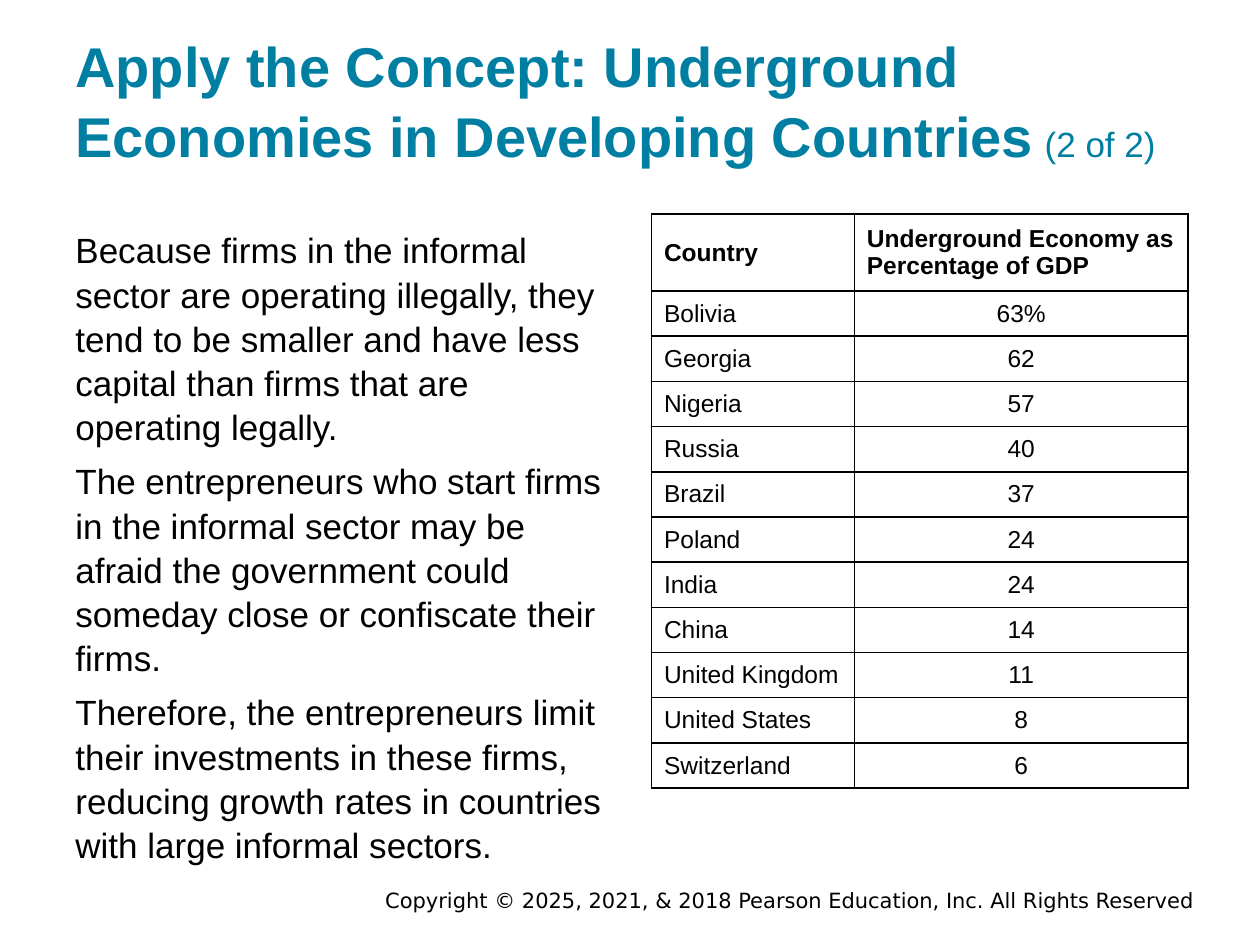
from dataclasses import dataclass

from lxml import etree
from pptx import Presentation
from pptx.dml.color import RGBColor
from pptx.enum.text import MSO_ANCHOR, PP_ALIGN
from pptx.oxml.ns import qn
from pptx.util import Pt

LEFT, CENTER, RIGHT = PP_ALIGN.LEFT, PP_ALIGN.CENTER, PP_ALIGN.RIGHT
TOP, MIDDLE, BOTTOM = MSO_ANCHOR.TOP, MSO_ANCHOR.MIDDLE, MSO_ANCHOR.BOTTOM

BLACK = RGBColor(0x00, 0x00, 0x00)
TEAL = RGBColor(0x00, 0x7F, 0xA3)

BODY_FONT = "Arial"
FOOTER_FONT = "DejaVu Sans"
LINE_SPACING = 1.05

# Table measures, in points
TABLE_LEFT, TABLE_TOP = 372.24, 122.4
COLUMN_WIDTHS = (115.92, 190.8)
HEADER_HEIGHT, ROW_HEIGHT = 43.9, 25.85
BORDER_WIDTH = 1

TITLE = "Apply the Concept: Underground Economies in Developing Countries"
TITLE_PART = " (2 of 2)"
BODY = (
    "Because firms in the informal sector are operating illegally, they tend to be "
    "smaller and have less capital than firms that are operating legally.",
    "The entrepreneurs who start firms in the informal sector may be afraid the "
    "government could someday close or confiscate their firms.",
    "Therefore, the entrepreneurs limit their investments in these firms, reducing "
    "growth rates in countries with large informal sectors.",
)
COPYRIGHT = "Copyright © 2025, 2021, & 2018 Pearson Education, Inc. All Rights Reserved"
HEADERS = ("Country", "Underground Economy as Percentage of GDP")
COUNTRIES = (
    ("Bolivia", "63%"),
    ("Georgia", "62"),
    ("Nigeria", "57"),
    ("Russia", "40"),
    ("Brazil", "37"),
    ("Poland", "24"),
    ("India", "24"),
    ("China", "14"),
    ("United Kingdom", "11"),
    ("United States", "8"),
    ("Switzerland", "6"),
)


@dataclass(frozen=True)
class TextStyle:
    size: float
    color: RGBColor = BLACK
    font: str = BODY_FONT
    bold: bool = False
    align: PP_ALIGN = LEFT


@dataclass(frozen=True)
class TextBox:
    left: float
    top: float
    width: float
    height: float
    anchor: MSO_ANCHOR
    vertical_inset: float
    line_spacing: float
    paragraphs: tuple[str, ...]
    style: TextStyle


TITLE_BOX = TextBox(36, 17.28, 648, 86.4, BOTTOM, 7.2, LINE_SPACING,
                    (TITLE,), TextStyle(32, TEAL))
BODY_BOX = TextBox(36, 122.4, 317.52, 367.92, TOP, 7.2, LINE_SPACING,
                   BODY, TextStyle(20))
FOOTER_BOX = TextBox(126, 506.16, 563.76, 15.84, MIDDLE, 3.6, 1.0,
                     (COPYRIGHT,), TextStyle(12, font=FOOTER_FONT, align=RIGHT))
HEADER_STYLE = TextStyle(14, bold=True)
CELL_STYLES = (TextStyle(14), TextStyle(14, align=CENTER))


def style_paragraph(paragraph, style: TextStyle) -> None:
    paragraph.alignment = style.align
    font = paragraph.font
    font.name = style.font
    font.size = Pt(style.size)
    font.bold = style.bold
    font.color.rgb = style.color


def add_text_box(slide, box: TextBox):
    shape = slide.shapes.add_textbox(
        Pt(box.left), Pt(box.top), Pt(box.width), Pt(box.height))
    frame = shape.text_frame
    frame.word_wrap = True
    frame.vertical_anchor = box.anchor
    frame.margin_left = frame.margin_right = Pt(7.2)
    frame.margin_top = frame.margin_bottom = Pt(box.vertical_inset)
    for index, text in enumerate(box.paragraphs):
        paragraph = frame.add_paragraph() if index else frame.paragraphs[0]
        paragraph.add_run().text = text
        paragraph.line_spacing = box.line_spacing
        paragraph.space_before = Pt(6 if index else 0)
        style_paragraph(paragraph, box.style)
    return frame


def add_borders(cell) -> None:
    properties = cell._tc.get_or_add_tcPr()
    for side in ("a:lnL", "a:lnR", "a:lnT", "a:lnB"):
        line = etree.SubElement(properties, qn(side), w=str(Pt(BORDER_WIDTH)))
        fill = etree.SubElement(line, qn("a:solidFill"))
        etree.SubElement(fill, qn("a:srgbClr"), val=str(BLACK))


def fill_cell(cell, text: str, style: TextStyle) -> None:
    add_borders(cell)
    cell.fill.background()
    cell.vertical_anchor = MIDDLE
    cell.text = text
    style_paragraph(cell.text_frame.paragraphs[0], style)


def add_country_table(slide) -> None:
    rows = (HEADERS, *COUNTRIES)
    heights = [HEADER_HEIGHT] + [ROW_HEIGHT] * len(COUNTRIES)
    table = slide.shapes.add_table(
        len(rows), len(HEADERS), Pt(TABLE_LEFT), Pt(TABLE_TOP),
        Pt(sum(COLUMN_WIDTHS)), Pt(sum(heights))).table
    table.horz_banding = False
    table.first_row = False
    for column, width in zip(table.columns, COLUMN_WIDTHS):
        column.width = Pt(width)
    for row_index, (texts, height) in enumerate(zip(rows, heights)):
        table.rows[row_index].height = Pt(height)
        for column_index, text in enumerate(texts):
            style = CELL_STYLES[column_index] if row_index else HEADER_STYLE
            fill_cell(table.cell(row_index, column_index), text, style)


def main() -> None:
    presentation = Presentation()
    presentation.slide_width, presentation.slide_height = Pt(720), Pt(540)
    slide = presentation.slides.add_slide(presentation.slide_layouts[6])

    # Footer
    add_text_box(slide, FOOTER_BOX)

    # Title with its smaller part number
    title = add_text_box(slide, TITLE_BOX).paragraphs[0]
    title.runs[0].font.bold = True
    part = title.add_run()
    part.text = TITLE_PART
    part.font.size = Pt(20)

    # Body text and table
    add_text_box(slide, BODY_BOX)
    add_country_table(slide)

    presentation.save("out.pptx")


if __name__ == "__main__":
    main()
